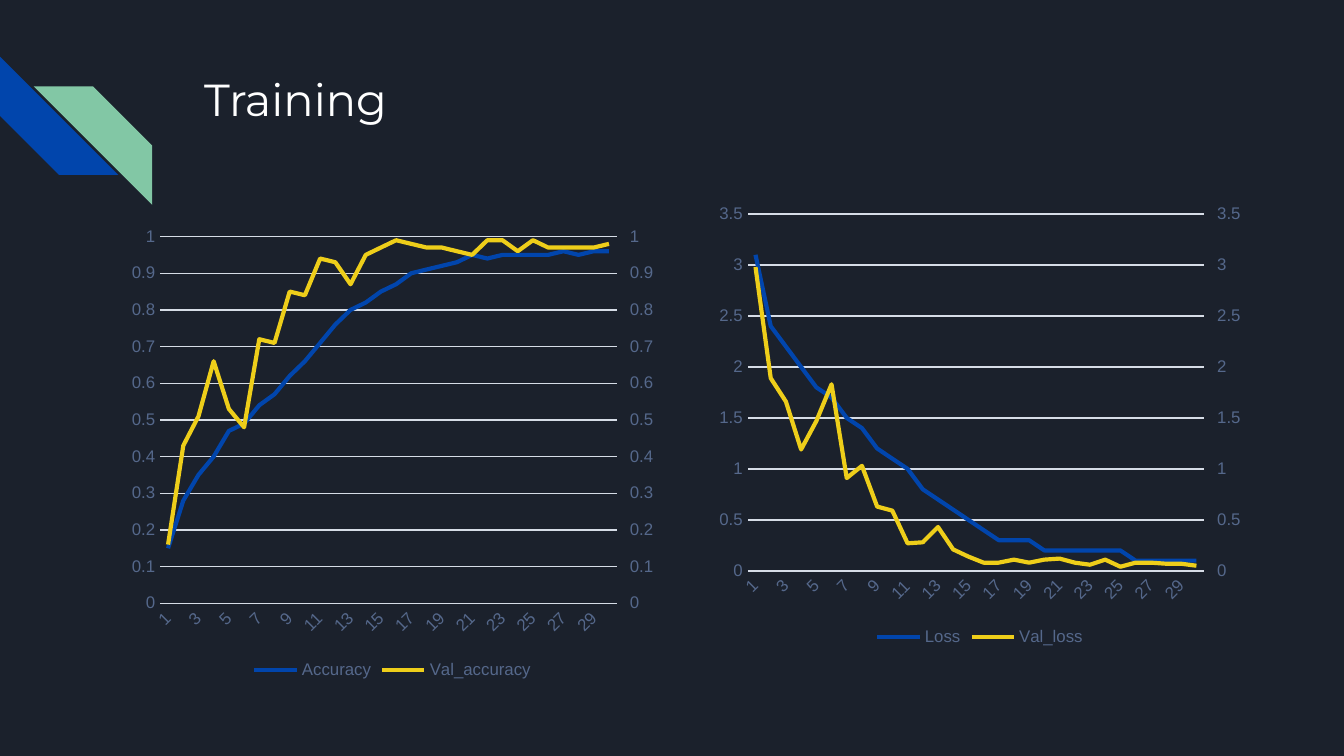
import copy
import dataclasses

import pptx
import pptx.chart.data
import pptx.dml.color
import pptx.enum.chart
import pptx.enum.shapes
import pptx.util

Pt = pptx.util.Pt
CATEGORIES = [str(epoch) for epoch in range(1, 31)]

ACCURACY = {
    "Accuracy": [0.15, 0.28, 0.35, 0.4, 0.47, 0.49, 0.54, 0.57, 0.62, 0.66,
                 0.71, 0.76, 0.8, 0.82, 0.85, 0.87, 0.9, 0.91, 0.92, 0.93,
                 0.95, 0.94, 0.95, 0.95, 0.95, 0.95, 0.96, 0.95, 0.96, 0.96],
    "Val_accuracy": [0.16, 0.43, 0.51, 0.66, 0.53, 0.48, 0.72, 0.71, 0.85, 0.84,
                     0.94, 0.93, 0.87, 0.95, 0.97, 0.99, 0.98, 0.97, 0.97, 0.96,
                     0.95, 0.99, 0.99, 0.96, 0.99, 0.97, 0.97, 0.97, 0.97, 0.98],
}
LOSS = {
    "Loss": [3.1, 2.4, 2.2, 2, 1.8, 1.7, 1.5, 1.4, 1.2, 1.1,
             1, 0.8, 0.7, 0.6, 0.5, 0.4, 0.3, 0.3, 0.3, 0.2,
             0.2, 0.2, 0.2, 0.2, 0.2, 0.1, 0.1, 0.1, 0.1, 0.1],
    "Val_loss": [2.98, 1.89, 1.66, 1.19, 1.47, 1.83, 0.91, 1.03, 0.63, 0.59,
                 0.27, 0.28, 0.43, 0.21, 0.14, 0.08, 0.08, 0.11, 0.08, 0.11,
                 0.12, 0.08, 0.06, 0.11, 0.04, 0.08, 0.08, 0.07, 0.07, 0.05],
}


def rgb(value):
    return pptx.dml.color.RGBColor.from_string(value)


@dataclasses.dataclass(frozen=True)
class Theme:
    background = rgb("1B212C")
    blue = rgb("0145AC")
    green = rgb("82C7A5")
    yellow = rgb("EECE1A")
    white = rgb("FFFFFF")
    grid = rgb("D6DCE6")
    label = rgb("55688B")
    title_font = "Montserrat"
    chart_font = "Arial"
    title_size = Pt(24)
    chart_size = Pt(10)
    label_size = Pt(9)
    grid_width = Pt(0.75)
    series_width = Pt(2.25)


THEME = Theme()


def style_font(font, name, size, color):
    font.name = name
    font.size = size
    font.color.rgb = color


def style_line(line, color, width):
    line.color.rgb = color
    line.width = width


def add_stripe(slide, left, top, rotation, color):
    shape = slide.shapes.add_shape(
        pptx.enum.shapes.MSO_SHAPE.DIAGONAL_STRIPE, Pt(left), Pt(top), Pt(63.5), Pt(63.5))
    shape.rotation = rotation
    shape.shadow.inherit = False
    shape.fill.solid()
    shape.fill.fore_color.rgb = color
    shape.line.fill.background()


def add_title(slide, text):
    shape = slide.shapes.add_textbox(Pt(102.25), Pt(31), Pt(554.5), Pt(72))
    text_frame = shape.text_frame
    text_frame.word_wrap = True
    text_frame.margin_left = text_frame.margin_right = Pt(7.2)
    text_frame.margin_top = text_frame.margin_bottom = Pt(7.2)
    text_frame.text = text
    run = text_frame.paragraphs[0].runs[0]
    style_font(run.font, THEME.title_font, THEME.title_size, THEME.white)


def style_axes(chart, maximum):
    tick_mark = pptx.enum.chart.XL_TICK_MARK.NONE
    for axis in (chart.category_axis, chart.value_axis):
        axis.major_tick_mark = axis.minor_tick_mark = tick_mark
        style_font(axis.tick_labels.font, THEME.chart_font, THEME.label_size, THEME.label)
    style_line(chart.category_axis.format.line, THEME.grid, THEME.grid_width)
    chart.category_axis._element.txPr.bodyPr.set("rot", "-2700000")
    value_axis = chart.value_axis
    value_axis.tick_labels.number_format = "General"
    value_axis.tick_labels.number_format_is_linked = False
    value_axis.format.line.fill.background()
    style_line(value_axis.major_gridlines.format.line, THEME.grid, THEME.grid_width)
    value_axis.minimum_scale = 0
    if maximum is not None:
        value_axis.maximum_scale = maximum


def move_last_series_to_right_axis(chart):
    plot_area = chart.element.xpath("c:chart/c:plotArea")[0]
    left_plot = plot_area.xpath("c:lineChart")[0]
    right_plot = copy.deepcopy(left_plot)
    left_plot.remove(left_plot.xpath("c:ser")[1])
    right_plot.remove(right_plot.xpath("c:ser")[0])
    left_plot.addnext(right_plot)

    category_axis = copy.deepcopy(plot_area.xpath("c:catAx")[0])
    value_axis = copy.deepcopy(plot_area.xpath("c:valAx")[0])
    value_axis.remove(value_axis.xpath("c:majorGridlines")[0])
    plot_area.xpath("c:valAx")[0].addnext(value_axis)
    value_axis.addnext(category_axis)

    category_id, value_id = "50010", "50020"
    settings = (
        (category_axis, "c:axId", category_id),
        (category_axis, "c:crossAx", value_id),
        (category_axis, "c:delete", "1"),
        (value_axis, "c:axId", value_id),
        (value_axis, "c:crossAx", category_id),
        (value_axis, "c:axPos", "r"),
        (value_axis, "c:majorTickMark", "out"),
        (value_axis, "c:crosses", "max"),
    )
    for axis, name, value in settings:
        axis.xpath(name)[0].set("val", value)
    for axis_id, value in zip(right_plot.xpath("c:axId"), (category_id, value_id)):
        axis_id.set("val", value)


def add_line_chart(slide, left, top, height, values_by_name, maximum=None):
    data = pptx.chart.data.CategoryChartData()
    data.categories = CATEGORIES
    for name, values in values_by_name.items():
        data.add_series(name, values)
    chart = slide.shapes.add_chart(
        pptx.enum.chart.XL_CHART_TYPE.LINE_STACKED,
        Pt(left), Pt(top), Pt(291), Pt(height), data).chart
    chart.has_title = False
    style_font(chart.font, THEME.chart_font, THEME.chart_size, THEME.background)
    chart.has_legend = True
    chart.legend.position = pptx.enum.chart.XL_LEGEND_POSITION.BOTTOM
    chart.legend.include_in_layout = False
    style_font(chart.legend.font, THEME.chart_font, THEME.label_size, THEME.label)
    plot = chart.plots[0]
    plot.vary_by_categories = False
    for series, color in zip(plot.series, (THEME.blue, THEME.yellow)):
        series.smooth = False
        style_line(series.format.line, color, THEME.series_width)
    style_axes(chart, maximum)
    move_last_series_to_right_axis(chart)


def main():
    presentation = pptx.Presentation()
    presentation.slide_width = Pt(720)
    presentation.slide_height = Pt(405)
    slide = presentation.slides.add_slide(presentation.slide_layouts[6])
    slide.background.fill.solid()
    slide.background.fill.fore_color.rgb = THEME.background
    add_stripe(slide, 0, 30.25, 270, THEME.blue)
    add_stripe(slide, 18, 46.25, 90, THEME.green)
    add_title(slide, "Training")
    add_line_chart(slide, 64.8, 116.5, 250.5, ACCURACY, maximum=1)
    add_line_chart(slide, 379.5, 104.5, 245, LOSS)
    presentation.save("out.pptx")


main()
